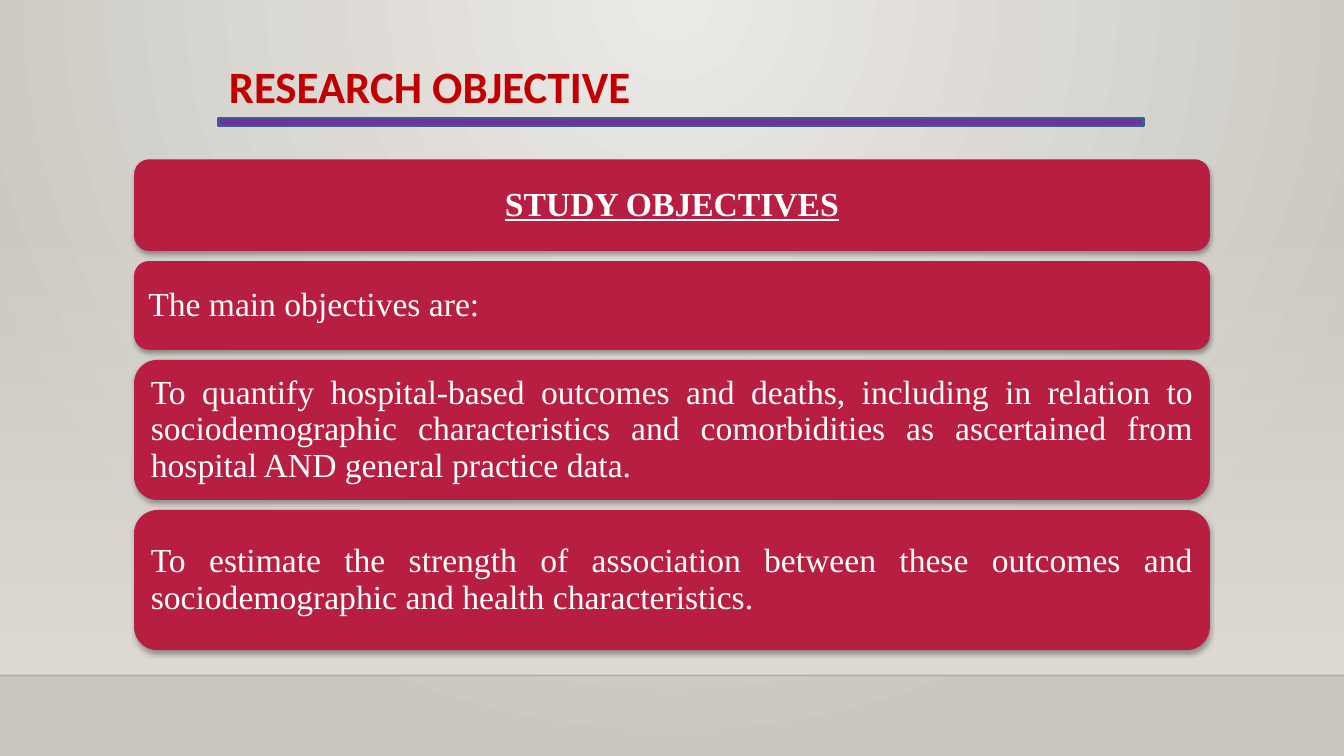
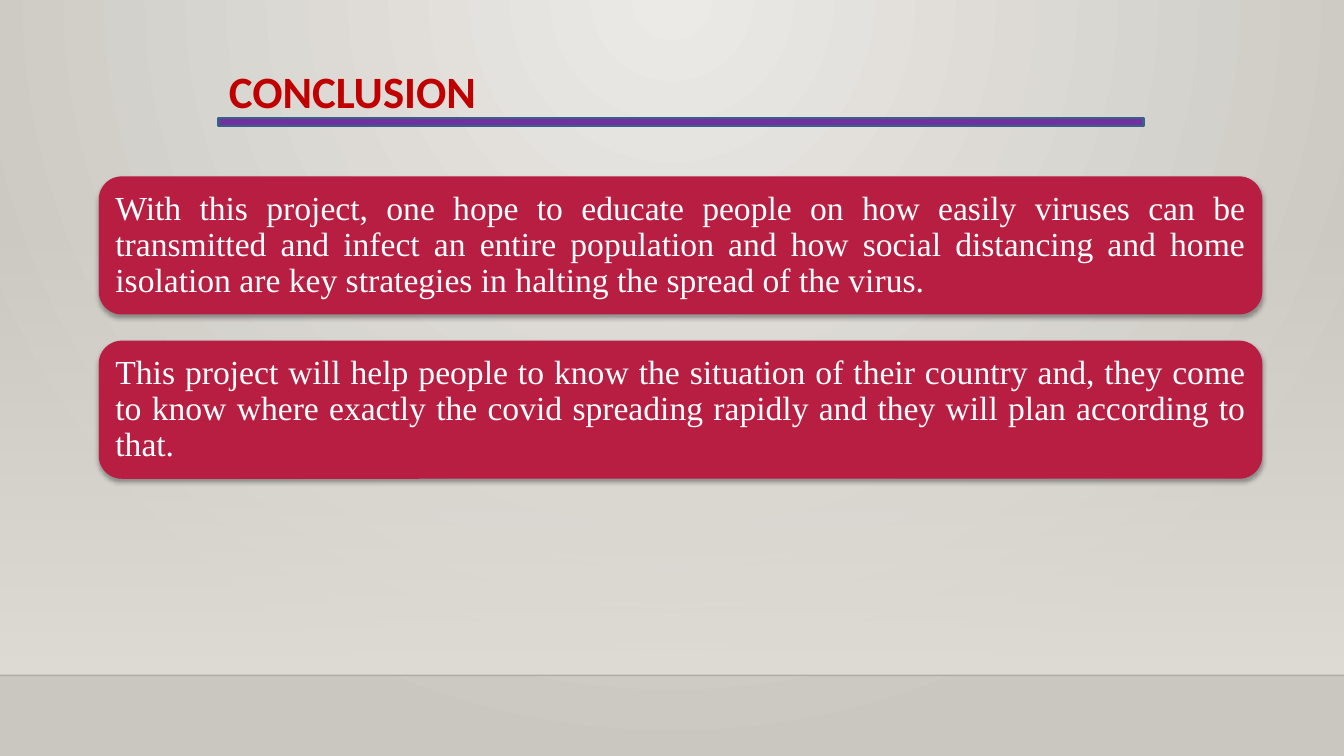
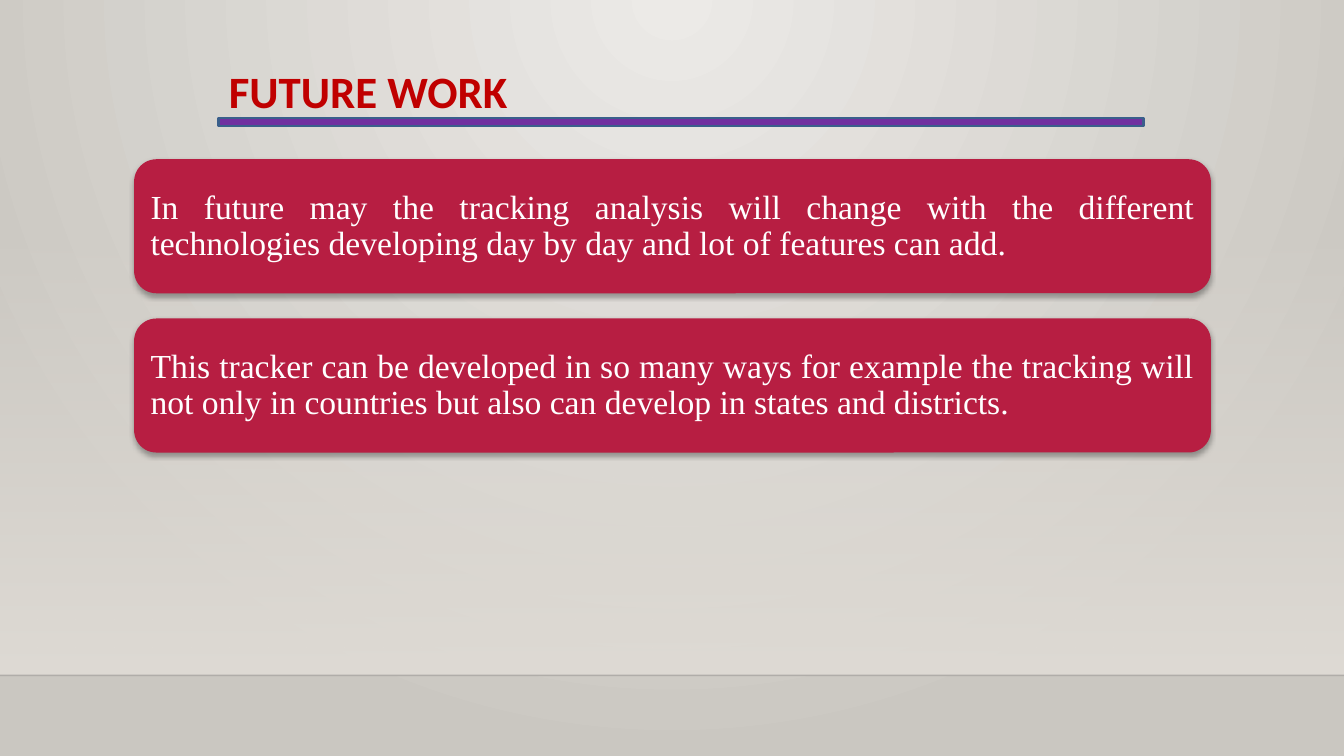
from dataclasses import dataclass

from lxml.etree import SubElement
from pptx import Presentation
from pptx.dml.color import RGBColor
from pptx.enum.shapes import MSO_CONNECTOR as Connector, MSO_SHAPE as Preset
from pptx.enum.text import MSO_ANCHOR as Anchor, MSO_AUTO_SIZE as AutoSize, PP_ALIGN as Align
from pptx.oxml import parse_xml
from pptx.oxml.ns import nsdecls, qn
from pptx.util import Inches, Pt

SLIDE_WIDTH, SLIDE_HEIGHT = 13.33, 7.5
FLOOR_TOP = 6.7
WALL_TOP = 2.21

GLOW = RGBColor(0xEC, 0xEA, 0xE7)
EDGE = RGBColor(0xCA, 0xC7, 0xC1)
WALL = RGBColor(0xDF, 0xDB, 0xD5)
NEAR_BLACK = RGBColor(0x00, 0x00, 0x01)
BLACK = RGBColor(0x00, 0x00, 0x00)
WHITE = RGBColor(0xFF, 0xFF, 0xFF)
RED = RGBColor(0xC0, 0x00, 0x00)
CRIMSON = RGBColor(0xB7, 0x1E, 0x42)
PURPLE = RGBColor(0x70, 0x30, 0xA0)
STEEL = RGBColor(0x3A, 0x5F, 0x8B)

HEADING_FONT = "Calibri"
CARD_FONT = "Times New Roman"


@dataclass(frozen=True)
class Card:
    text: str
    height: float
    heading: bool = False


@dataclass(frozen=True)
class Page:
    title: str
    title_top: float
    left: float
    top: float
    width: float
    gap: float
    cards: tuple[Card, ...]


PAGES = (
    Page("RESEARCH OBJECTIVE", 0.53, 1.33, 1.58, 10.67, 0.1, (
        Card("STUDY OBJECTIVES", 0.91, heading=True),
        Card("The main objectives are:", 0.88),
        Card("To quantify hospital-based outcomes and deaths, including in relation to "
             "sociodemographic characteristics and comorbidities as ascertained from "
             "hospital AND general practice data.", 1.39),
        Card("To estimate the strength of association between these outcomes and "
             "sociodemographic and health characteristics.", 1.39),
    )),
    Page("CONCLUSION", 0.58, 0.98, 1.75, 11.54, 0.26, (
        Card("With this project, one hope to educate people on how easily viruses can be "
             "transmitted and infect an entire population and how social distancing and home "
             "isolation are key strategies in halting the spread of the virus.", 1.37),
        Card("This project will help people to know the situation of their country and, they "
             "come to know where exactly the covid spreading rapidly and they will plan "
             "according to that.", 1.37),
    )),
    Page("FUTURE WORK", 0.58, 1.33, 1.58, 10.68, 0.25, (
        Card("In future may the tracking analysis will change with the different "
             "technologies developing day by day and lot of features can add.", 1.33),
        Card("This tracker can be developed in so many ways for example the tracking will "
             "not only in countries but also can develop in states and districts.", 1.33),
    )),
)


def gradient(stops, direction: str):
    marks = "".join(
        f'<a:gs pos="{position * 1000}"><a:srgbClr val="{color}">'
        f'<a:alpha val="{alpha * 1000}"/></a:srgbClr></a:gs>'
        for position, color, alpha in stops
    )
    return parse_xml(
        f'<a:gradFill {nsdecls("a")} rotWithShape="1"><a:gsLst>{marks}</a:gsLst>{direction}</a:gradFill>'
    )


def swap_solid_fill(parent, fill) -> None:
    solid = parent.find(qn("a:solidFill"))
    parent.replace(solid, fill)


def paint_background(master) -> None:
    master.background.fill.solid()
    properties = next(master.element.iter(qn("p:bgPr")))
    swap_solid_fill(properties, gradient(
        ((0, GLOW, 100), (100, EDGE, 100)),
        '<a:path path="circle"><a:fillToRect l="43000" t="0" r="43000" b="100000"/></a:path>',
    ))


def add_backdrop(layout, slide) -> None:
    wall = slide.shapes.add_shape(
        Preset.RECTANGLE, 0, Inches(WALL_TOP), Inches(SLIDE_WIDTH), Inches(FLOOR_TOP - WALL_TOP))
    wall.shadow.inherit = False
    wall.line.fill.background()
    wall.fill.solid()
    swap_solid_fill(wall.element.spPr, gradient(
        ((0, WALL, 0), (100, WALL, 100)), '<a:lin ang="5400000" scaled="0"/>'))

    horizon = slide.shapes.add_connector(
        Connector.STRAIGHT, 0, Inches(FLOOR_TOP), Inches(SLIDE_WIDTH), Inches(FLOOR_TOP))
    horizon.line.width = Pt(1)
    horizon.line.color.rgb = NEAR_BLACK
    SubElement(next(horizon.element.iter(qn("a:srgbClr"))), qn("a:alpha"), val="20000")
    SubElement(horizon.element.spPr, qn("a:effectLst"))

    layout_tree = layout.shapes.element
    layout_tree.insert(2, wall.element)
    layout_tree.insert(3, horizon.element)


def add_title(slide, text: str, top: float) -> None:
    title = slide.shapes.title
    title.left, title.top = Inches(2.17), Inches(top)
    title.width, title.height = Inches(9.17), Inches(0.64)
    frame = title.text_frame
    frame.text = text
    frame.auto_size = AutoSize.NONE
    frame.vertical_anchor = Anchor.TOP
    paragraph = frame.paragraphs[0]
    paragraph.alignment = Align.LEFT
    font = paragraph.runs[0].font
    font.name, font.size, font.bold = HEADING_FONT, Pt(32), True
    font.color.rgb = RED


def add_title_rule(slide) -> None:
    rule = slide.shapes.add_shape(
        Preset.RECTANGLE, Inches(2.17), Inches(1.17), Inches(9.17), Inches(0.08))
    rule.shadow.inherit = False
    rule.fill.solid()
    rule.fill.fore_color.rgb = PURPLE
    rule.line.color.rgb = STEEL
    rule.line.width = Pt(2)


def add_soft_shadow(shape) -> None:
    shape.shadow.inherit = False
    effects = shape.element.spPr.find(qn("a:effectLst"))
    effects.append(parse_xml(
        f'<a:outerShdw {nsdecls("a")} blurRad="{Pt(3.5)}" dist="{Pt(2.2)}" dir="5400000" rotWithShape="0">'
        f'<a:srgbClr val="{BLACK}"><a:alpha val="32000"/></a:srgbClr></a:outerShdw>'
    ))


def add_card(slide, card: Card, left: float, top: float, width: float) -> None:
    panel = slide.shapes.add_shape(
        Preset.ROUNDED_RECTANGLE, Inches(left), Inches(top), Inches(width), Inches(card.height))
    panel.fill.solid()
    panel.fill.fore_color.rgb = CRIMSON
    panel.line.fill.background()
    add_soft_shadow(panel)
    frame = panel.text_frame
    frame.text = card.text
    frame.word_wrap = True
    frame.vertical_anchor = Anchor.MIDDLE
    frame.margin_left = frame.margin_right = Inches(0.1)
    frame.margin_top = frame.margin_bottom = Inches(0.1)
    paragraph = frame.paragraphs[0]
    paragraph.alignment = Align.CENTER if card.heading else Align.JUSTIFY
    paragraph.line_spacing = 0.9
    font = paragraph.runs[0].font
    font.name, font.size = CARD_FONT, Pt(24)
    font.bold = font.underline = card.heading
    font.color.rgb = WHITE


def add_page(deck, layout, page: Page):
    slide = deck.slides.add_slide(layout)
    add_title_rule(slide)
    add_title(slide, page.title, page.title_top)
    top = page.top
    for card in page.cards:
        add_card(slide, card, page.left, top, page.width)
        top += card.height + page.gap
    return slide


def main() -> None:
    deck = Presentation()
    deck.slide_width, deck.slide_height = Inches(SLIDE_WIDTH), Inches(SLIDE_HEIGHT)
    layout = deck.slide_layouts.get_by_name("Title Only")
    paint_background(deck.slide_master)
    slides = [add_page(deck, layout, page) for page in PAGES]
    add_backdrop(layout, slides[0])
    deck.save("out.pptx")


if __name__ == "__main__":
    main()
